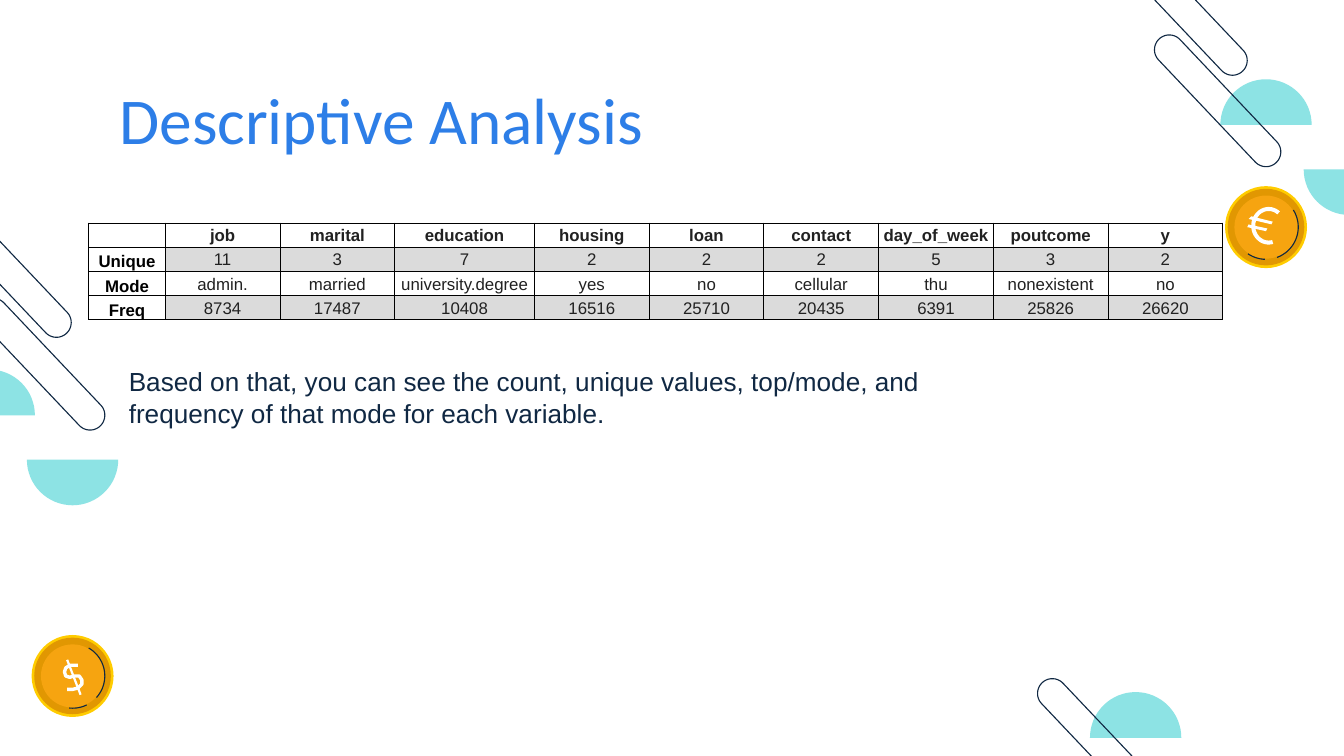
from math import atan2, cos, degrees, radians, sin

from lxml import etree
from pptx import Presentation
from pptx.dml.color import RGBColor
from pptx.enum.shapes import MSO_SHAPE
from pptx.enum.text import MSO_ANCHOR, PP_ALIGN
from pptx.oxml.ns import qn
from pptx.util import Inches, Pt

OVAL = MSO_SHAPE.OVAL
MIDDLE, BOTTOM = MSO_ANCHOR.MIDDLE, MSO_ANCHOR.BOTTOM
CENTER = PP_ALIGN.CENTER

WHITE = RGBColor(0xFF, 0xFF, 0xFF)
BLACK = RGBColor(0x00, 0x00, 0x00)
NAVY = RGBColor(0x10, 0x28, 0x43)
BLUE = RGBColor(0x2D, 0x7E, 0xE7)
AQUA = RGBColor(0x8D, 0xE3, 0xE4)
CHARCOAL = RGBColor(0x21, 0x21, 0x21)
GREY = RGBColor(0xDB, 0xDB, 0xDB)
COIN_RINGS = (
    (0.61, RGBColor(0xFF, 0xCC, 0x00)),
    (0.57, RGBColor(0xE1, 0x97, 0x02)),
    (0.47, RGBColor(0xF6, 0xA4, 0x10)),
)

HALF_DISCS = (
    (9.42, 0.93, True), (10.04, 1.26, False), (8.45, 5.49, True),
    (-0.08, 3.09, True), (0.54, 3.42, False),
)
PILLS = ((9.06, 0.75), (8.81, 0.07), (8.19, 5.54), (0.31, 2.71), (0.06, 2.02))
EURO_BARS = (
    ((9.31, 1.61), (9.47, 1.65), (9.46, 1.67), (9.29, 1.63)),
    ((9.29, 1.67), (9.43, 1.70), (9.42, 1.72), (9.28, 1.69)),
)
DOLLAR_CURVE = (
    (0.58, 4.95), (0.55, 4.95), (0.52, 4.95), (0.49, 4.97), (0.48, 5.0),
    (0.49, 5.03), (0.52, 5.04), (0.55, 5.03), (0.59, 5.03), (0.61, 5.06),
    (0.61, 5.09), (0.58, 5.12), (0.54, 5.13), (0.5, 5.13),
)
DOLLAR_BAR = ((0.5, 4.91), (0.6, 5.17))

SUMMARY = (
    ("", "job", "marital", "education", "housing", "loan", "contact",
     "day_of_week", "poutcome", "y"),
    ("Unique", "11", "3", "7", "2", "2", "2", "5", "3", "2"),
    ("Mode", "admin.", "married", "university.degree", "yes", "no",
     "cellular", "thu", "nonexistent", "no"),
    ("Freq", "8734", "17487", "10408", "16516", "25710", "20435", "6391",
     "25826", "26620"),
)
TABLE_WIDTH, LABEL_WIDTH, EDUCATION_WIDTH, ROW_HEIGHT = 8.44, 0.57, 1.04, 0.18


def arc(x, y, rx, ry, start, end):
    """Return points along an elliptical arc, in inches and clockwise degrees."""
    steps = 32
    angles = [radians(start + (end - start) * i / steps) for i in range(steps + 1)]
    return [(x + rx * cos(a), y + ry * sin(a)) for a in angles]


class SlideBuilder:
    """Holds the slide and its style, and draws each kind of element."""

    def __init__(self, slide):
        self.slide = slide
        self.body_font = "Arial"
        self.outline_width = 0.59

    def paint(self, shape, fill, line, width):
        """Apply fill and line to a shape without shadow."""
        shape.shadow.inherit = False
        if fill is None:
            shape.fill.background()
        else:
            shape.fill.solid()
            shape.fill.fore_color.rgb = fill
        if line is None:
            shape.line.fill.background()
        else:
            shape.line.color.rgb = line
            shape.line.width = Pt(width)

    def outline(self, points, fill=None, line=None, width=None, close=True):
        """Draw a freeform through the points."""
        start, *rest = [(Inches(x), Inches(y)) for x, y in points]
        builder = self.slide.shapes.build_freeform(*start)
        builder.add_line_segments(rest, close=close)
        self.paint(builder.convert_to_shape(), fill, line, width or self.outline_width)

    def half_disc(self, x, y, upward):
        """Draw a half disc on the middle of its flat side."""
        start = 180 if upward else 0
        self.outline(arc(x, y, 0.34, 0.34, start, start + 180), fill=AQUA)

    def pill(self, x, y):
        """Draw a slanted outlined pill around its centre."""
        dx, dy, radius = 0.36, 0.38, 0.11
        slant = degrees(atan2(dy, dx))
        caps = arc(x + dx, y + dy, radius, radius, slant - 90, slant + 90)
        caps += arc(x - dx, y - dy, radius, radius, slant + 90, slant + 270)
        self.outline(caps, line=NAVY)

    def coin(self, x, y, turn):
        """Draw a coin of nested discs with two turned shine lines."""
        for size, color in COIN_RINGS:
            disc = self.slide.shapes.add_shape(
                OVAL, Inches(x - size / 2), Inches(y - size / 2), Inches(size), Inches(size))
            self.paint(disc, color, None, None)
        for start, end in ((92, 124), (-32, 70)):
            shine = arc(x, y, 0.24, 0.24, start + turn, end + turn)
            self.outline(shine, line=NAVY, close=False)

    def euro(self):
        """Draw the euro sign."""
        outer = arc(9.44, 1.68, 0.13, 0.14, 75, 310)
        inner = arc(9.44, 1.68, 0.1, 0.11, 310, 75)
        for part in (outer + inner, *EURO_BARS):
            self.outline(part, fill=WHITE)

    def dollar(self):
        """Draw the dollar sign."""
        self.outline(DOLLAR_CURVE, line=WHITE, width=1.8, close=False)
        self.outline(DOLLAR_BAR, line=WHITE, width=1.2, close=False)

    def style(self, paragraph, font_name, size, color, bold=False):
        """Set the font of a paragraph."""
        font = paragraph.font
        font.name, font.size, font.bold = font_name, Pt(size), bold
        font.color.rgb = color

    def text(self, words, left, top, width, height, font_name, size, color):
        """Add a wrapped text box."""
        frame = self.slide.shapes.add_textbox(
            Inches(left), Inches(top), Inches(width), Inches(height)).text_frame
        frame.word_wrap = True
        frame.margin_left = frame.margin_right = Inches(0.1)
        frame.margin_top = frame.margin_bottom = Inches(0.1)
        frame.text = words
        self.style(frame.paragraphs[0], font_name, size, color)

    def border(self, cell):
        """Give a cell thin black borders."""
        properties = cell._tc.get_or_add_tcPr()
        for index, side in enumerate(("a:lnL", "a:lnR", "a:lnT", "a:lnB")):
            edge = etree.Element(qn(side), w=str(Pt(0.5)))
            solid = etree.SubElement(edge, qn("a:solidFill"))
            etree.SubElement(solid, qn("a:srgbClr"), val=str(BLACK))
            properties.insert(index, edge)

    def cell(self, cell, words, row, column):
        """Fill and style one table cell."""
        is_label = column == 0
        cell.margin_left = cell.margin_right = cell.margin_top = Inches(0.01)
        cell.margin_bottom = 0
        cell.vertical_anchor = BOTTOM if is_label else MIDDLE
        cell.text = words
        paragraph = cell.text_frame.paragraphs[0]
        paragraph.alignment = CENTER
        self.style(paragraph, self.body_font, 9, BLACK if is_label else CHARCOAL,
                   is_label or row == 0)
        if not words:
            etree.SubElement(paragraph._p, qn("a:endParaRPr"), sz="900")
        if is_label:
            cell.fill.background()
        else:
            cell.fill.solid()
            cell.fill.fore_color.rgb = GREY if row % 2 else WHITE
        self.border(cell)

    def table(self, rows, left, top):
        """Add the summary table."""
        count = len(rows[0])
        table = self.slide.shapes.add_table(
            len(rows), count, Inches(left), Inches(top),
            Inches(TABLE_WIDTH), Inches(ROW_HEIGHT * len(rows))).table
        table.first_row = table.horz_banding = False
        shared = (TABLE_WIDTH - LABEL_WIDTH - EDUCATION_WIDTH) / (count - 2)
        widths = {0: LABEL_WIDTH, rows[0].index("education"): EDUCATION_WIDTH}
        for index, column in enumerate(table.columns):
            column.width = Inches(widths.get(index, shared))
        for row, values in enumerate(rows):
            table.rows[row].height = Inches(ROW_HEIGHT)
            for column, words in enumerate(values):
                self.cell(table.cell(row, column), words, row, column)


def main():
    """Build and save the slide."""
    deck = Presentation()
    deck.slide_width = Inches(10)
    deck.slide_height = deck.slide_width * 9 // 16
    page = SlideBuilder(deck.slides.add_slide(deck.slide_layouts[6]))
    for half_disc in HALF_DISCS:
        page.half_disc(*half_disc)
    for pill in PILLS:
        page.pill(*pill)
    page.coin(9.42, 1.69, 0)
    page.euro()
    page.coin(0.54, 5.03, -28)
    page.dollar()
    page.text("Descriptive Analysis", 0.79, 0.49, 8.43, 0.63, "Calibri", 35, BLUE)
    page.text("Based on that, you can see the count, unique values, top/mode, and "
              "frequency of that mode for each variable.",
              0.86, 2.62, 6.49, 0.64, page.body_font, 14, NAVY)
    page.table(SUMMARY, 0.66, 1.66)
    deck.save("out.pptx")


if __name__ == "__main__":
    main()
